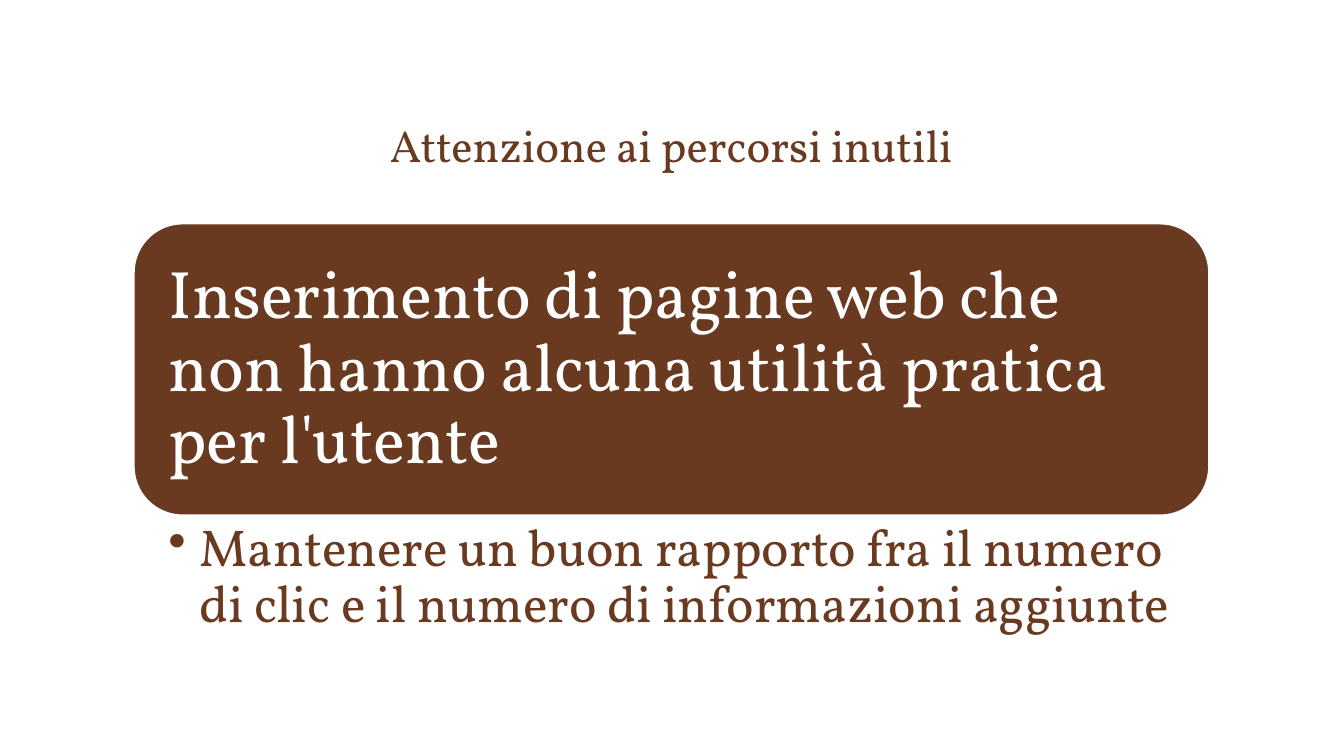
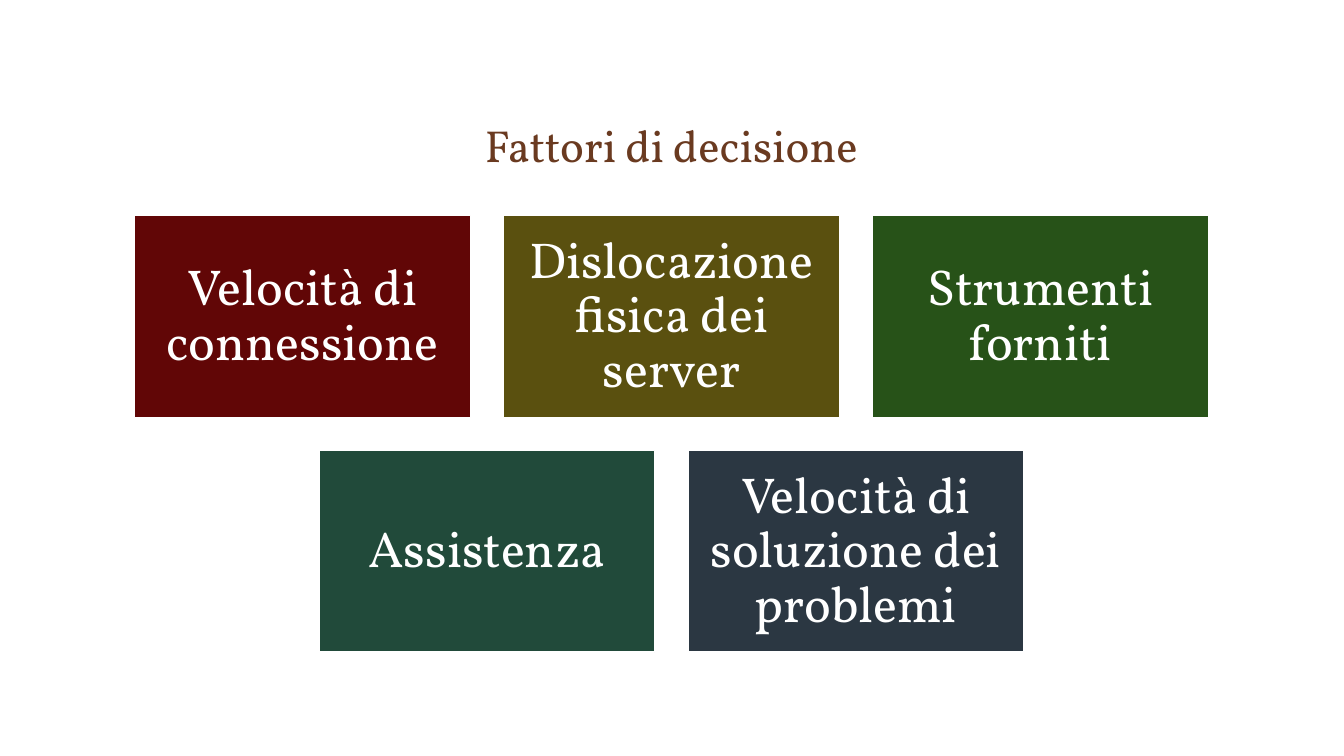
from pptx import Presentation
from pptx.dml.color import RGBColor
from pptx.enum import shapes, text
from pptx.oxml import parse_xml
from pptx.oxml.ns import nsdecls
from pptx.util import Inches, Pt

FONT = "Vollkorn"
BROWN, WHITE = "6A3A20", "FFFFFF"
LEFT, WIDTH = 1.33, 10.66
LINE_SPACING = 0.9

FACTORS = [
    [("Velocità di connessione", "610606"),
     ("Dislocazione fisica dei server", "5A500F"),
     ("Strumenti forniti", "275218")],
    [("Assistenza", "214A3A"),
     ("Velocità di soluzione dei problemi", "2B3742")],
]


def color(value):
    return RGBColor.from_string(value)


def write(shape, wording, size, ink, align, anchor, insets):
    """Fill a shape with one paragraph; insets run left, top, right, bottom."""
    frame = shape.text_frame
    frame.word_wrap = True
    frame.vertical_anchor = anchor
    frame.margin_left, frame.margin_top, frame.margin_right, frame.margin_bottom = map(Inches, insets)
    para = frame.paragraphs[0]
    para.text = wording
    para.alignment = align
    para.font.name = FONT
    para.font.size = Pt(size)
    para.font.color.rgb = color(ink)
    return para


def add_card(page, kind, box, fill, wording, size, align, inset):
    card = page.shapes.add_shape(kind, *map(Inches, box))
    card.shadow.inherit = False
    card.fill.solid()
    card.fill.fore_color.rgb = color(fill)
    card.line.color.rgb = color(WHITE)
    card.line.width = Pt(1)
    para = write(card, wording, size, WHITE, align, text.MSO_ANCHOR.MIDDLE, [inset] * 4)
    para.line_spacing = LINE_SPACING


def add_bullet(page, box, wording):
    note = page.shapes.add_textbox(*map(Inches, box))
    properties = note.text_frame.paragraphs[0]._p.get_or_add_pPr()
    properties.set("marL", str(Inches(0.31)))
    properties.set("indent", str(-Inches(0.31)))
    properties.append(parse_xml(f'<a:buChar {nsdecls("a")} char="•"/>'))
    para = write(note, wording, 37, BROWN, text.PP_ALIGN.LEFT,
                 text.MSO_ANCHOR.TOP, (0.34, 0.07, 0.37, 0.07))
    para.line_spacing = LINE_SPACING


def add_page(deck, title):
    """Add a blank page with the shared title."""
    page = deck.slides.add_slide(deck.slide_layouts[6])
    heading = page.shapes.add_textbox(*map(Inches, (LEFT, 0.47, WIDTH, 1.28)))
    write(heading, title, 32, BROWN, text.PP_ALIGN.CENTER,
          text.MSO_ANCHOR.BOTTOM, (0.1, 0.05, 0.1, 0.05))
    return page


def add_statement(page, left, top, width):
    card_height = 2.89
    add_card(page, shapes.MSO_SHAPE.ROUNDED_RECTANGLE, (left, top, width, card_height), BROWN,
             "Inserimento di pagine web che non hanno alcuna utilità pratica per l'utente",
             48, text.PP_ALIGN.LEFT, 0.2)
    add_bullet(page, (left, top + card_height, width, 1.28),
               "Mantenere un buon rapporto fra il numero di clic e il numero di informazioni aggiunte")


def add_tiles(page, left, top, width, rows):
    """Lay out rows of equal tiles, each row centred in the width."""
    tile_width, tile_height, gap = 3.33, 2, 0.33
    for row_index, row in enumerate(rows):
        row_width = len(row) * (tile_width + gap) - gap
        row_left = left + (width - row_width) / 2
        for column, (wording, fill) in enumerate(row):
            box = (row_left + column * (tile_width + gap),
                   top + row_index * (tile_height + gap), tile_width, tile_height)
            add_card(page, shapes.MSO_SHAPE.RECTANGLE, box, fill, wording,
                     36, text.PP_ALIGN.CENTER, 0.15)


def main():
    deck = Presentation()
    deck.slide_width, deck.slide_height = Inches(13.33), Inches(7.5)
    add_statement(add_page(deck, "Attenzione ai percorsi inutili"), LEFT, 2.22, WIDTH)
    add_tiles(add_page(deck, "Fattori di decisione"), LEFT, 2.14, WIDTH, FACTORS)
    deck.save("out.pptx")


if __name__ == "__main__":
    main()
